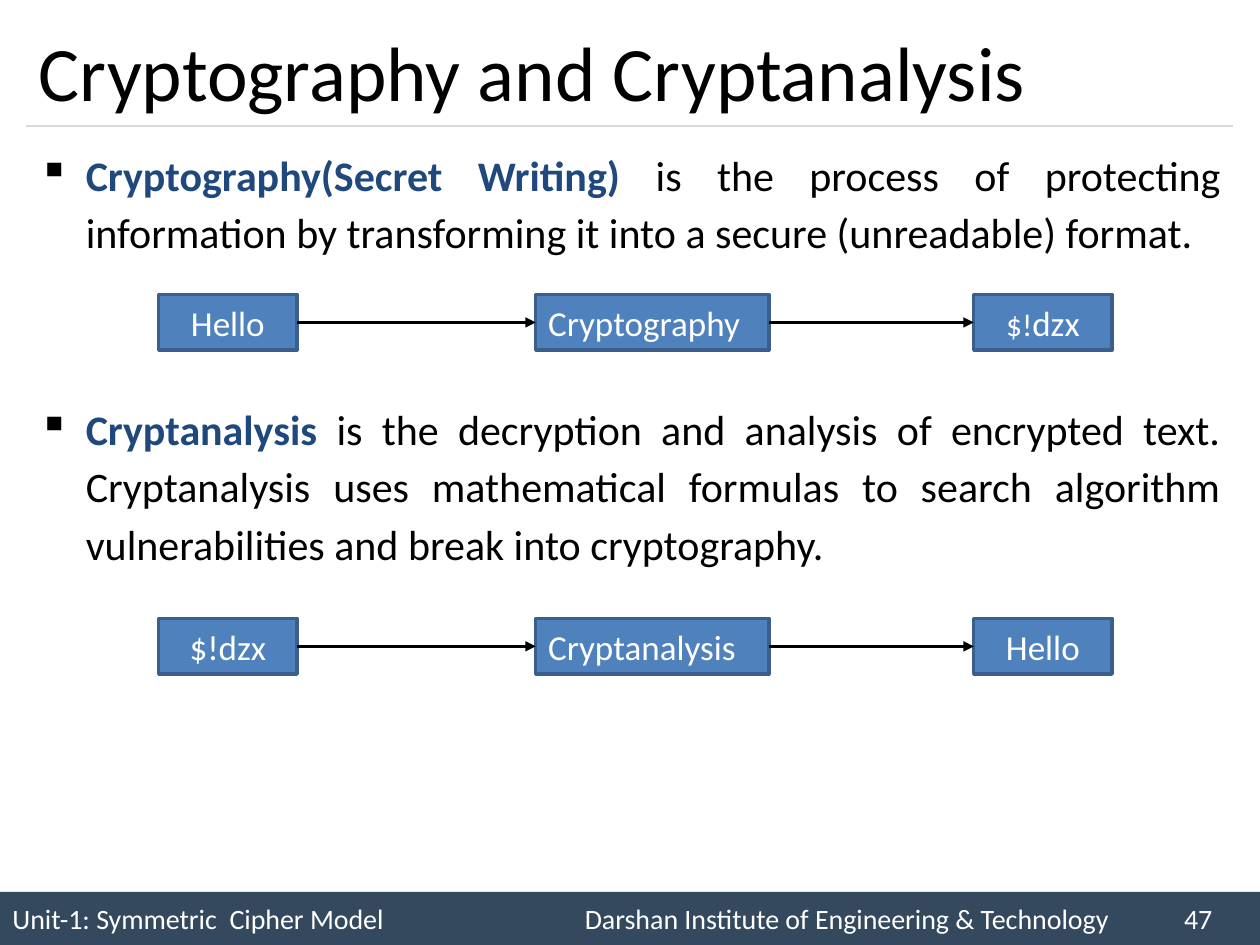
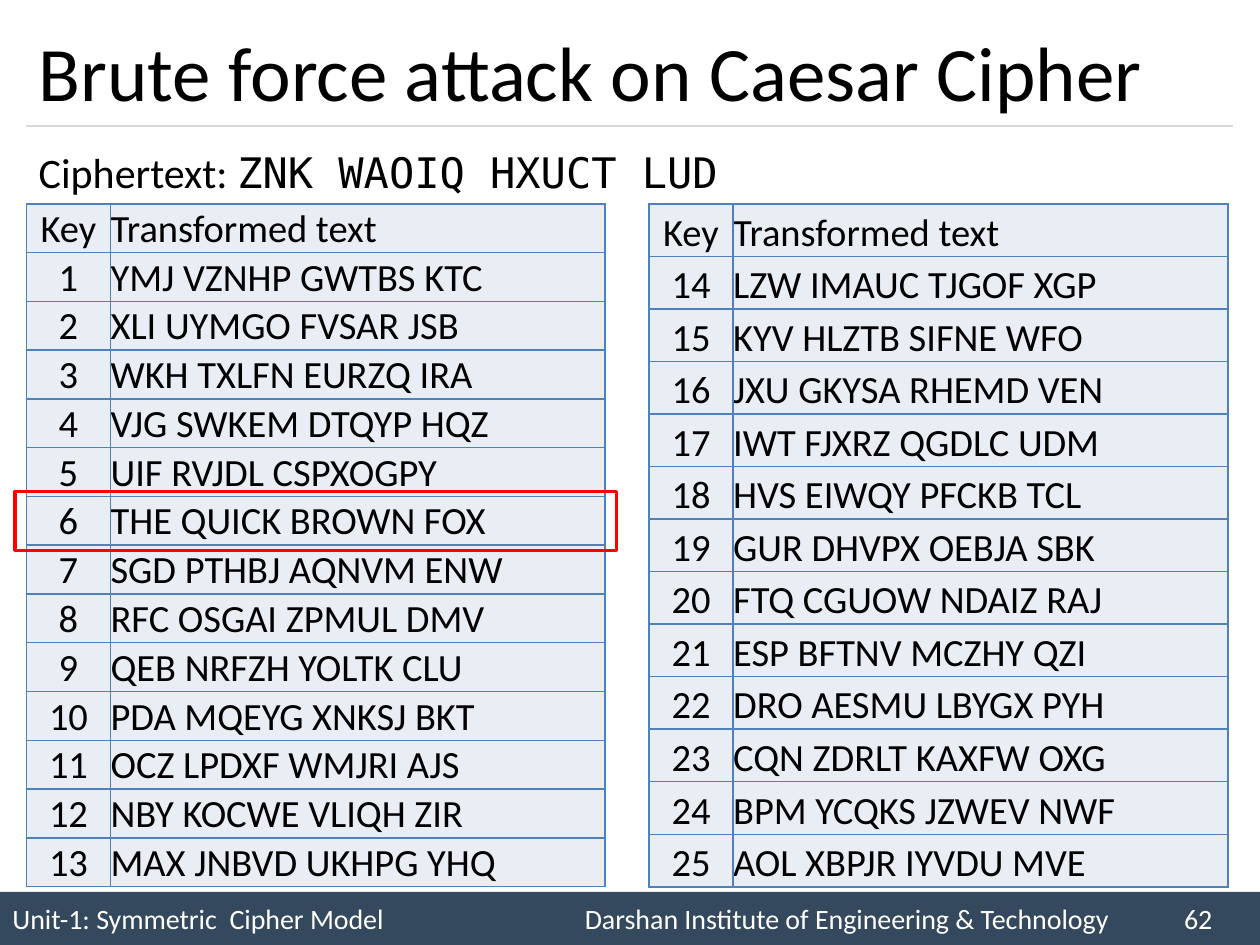
"""Build two slides on cryptanalysis and the Caesar cipher."""
from dataclasses import dataclass
from lxml.etree import SubElement
from pptx import Presentation
from pptx.dml.color import RGBColor
from pptx.enum.shapes import MSO_CONNECTOR, MSO_SHAPE
from pptx.enum.text import MSO_ANCHOR, PP_ALIGN
from pptx.oxml.ns import qn
from pptx.util import Cm, Pt


@dataclass(frozen=True)
class Theme:
    font: str = "Calibri"
    mono: str = "DejaVu Sans Mono"
    black: str = "000000"
    white: str = "FFFFFF"
    navy: str = "1F497D"
    band: str = "34495E"
    rule: str = "D9D9D9"
    blue: str = "4F81BD"
    edge: str = "3A5F8C"
    pale: str = "E9EDF4"
    red: str = "FF0000"
    title: int = 44
    body: int = 24
    cell: int = 22
    box: int = 20
    small: int = 18
    foot: int = 16


T = Theme()
WIDE, HIGH = 25.4, 19.05
LEFT, SPAN = 0.53, 24.33

UNIT = "Unit-1: Symmetric  Cipher Model"
SCHOOL = "Darshan Institute of Engineering & Technology"

KEY = {"bold": True, "color": T.navy}
POINTS = [
    [("Cryptography(Secret Writing) ", KEY),
     ("is the process of protecting information by transforming it into a "
      "secure (unreadable) format.", {})],
    [("Cryptanalysis ", KEY),
     ("is the decryption and analysis of encrypted text. Cryptanalysis uses "
      "mathematical formulas to search algorithm vulnerabilities and break "
      "into cryptography.", {})],
]
FLOWS = [
    (5.94, [[("Hello", {})], [("Cryptography", {})],
            [("$!", {"size": T.small}), ("dzx", {})]]),
    (12.47, [[("$!dzx", {})], [("Cryptanalysis", {})], [("Hello", {})]]),
]
STEPS = [
    (3.2, 2.79, PP_ALIGN.CENTER),
    (10.8, 4.7, PP_ALIGN.LEFT),
    (19.63, 2.79, PP_ALIGN.CENTER),
]

CIPHER = [("Ciphertext: ", {}), ("ZNK WAOIQ HXUCT LUD", {"name": T.mono})]
HEAD = ("Key", "Transformed text")
TRIES = [
    "YMJ VZNHP GWTBS KTC", "XLI UYMGO FVSAR JSB", "WKH TXLFN EURZQ IRA",
    "VJG SWKEM DTQYP HQZ", "UIF RVJDL CSPXOGPY", "THE QUICK BROWN FOX",
    "SGD PTHBJ AQNVM ENW", "RFC OSGAI ZPMUL DMV", "QEB NRFZH YOLTK CLU",
    "PDA MQEYG XNKSJ BKT", "OCZ LPDXF WMJRI AJS", "NBY KOCWE VLIQH ZIR",
    "MAX JNBVD UKHPG YHQ", "LZW IMAUC TJGOF XGP", "KYV HLZTB SIFNE WFO",
    "JXU GKYSA RHEMD VEN", "IWT FJXRZ QGDLC UDM", "HVS EIWQY PFCKB TCL",
    "GUR DHVPX OEBJA SBK", "FTQ CGUOW NDAIZ RAJ", "ESP BFTNV MCZHY QZI",
    "DRO AESMU LBYGX PYH", "CQN ZDRLT KAXFW OXG", "BPM YCQKS JZWEV NWF",
    "AOL XBPJR IYVDU MVE",
]
SPLIT, FOUND = 13, 6
COLS = (1.7, 9.97)
GRID_X, GRID_Y, GRID_H = (LEFT, 13.08), 4.11, 13.77


def rgb(code):
    return RGBColor.from_string(code)


def style(font, size=None, color=None, name=None, bold=None):
    if size:
        font.size = Pt(size)
    if color:
        font.color.rgb = rgb(color)
    if name:
        font.name = name
    if bold is not None:
        font.bold = bold


def write(para, runs, size, color=T.black, align=PP_ALIGN.LEFT):
    para.alignment = align
    style(para.font, size, color, T.font)
    for text, look in runs:
        run = para.add_run()
        run.text = text
        style(run.font, **look)


def add_rect(slide, x, y, w, h, fill=None, edge=None):
    rect = slide.shapes.add_shape(MSO_SHAPE.RECTANGLE, Cm(x), Cm(y), Cm(w), Cm(h))
    rect.shadow.inherit = False
    if fill:
        rect.fill.solid()
        rect.fill.fore_color.rgb = rgb(fill)
    else:
        rect.fill.background()
    if edge:
        rect.line.color.rgb = rgb(edge)
        rect.line.width = Pt(2)
    else:
        rect.line.fill.background()
    return rect


def add_line(slide, ends, color, width):
    line = slide.shapes.add_connector(MSO_CONNECTOR.STRAIGHT, *map(Cm, ends))
    line.line.color.rgb = rgb(color)
    line.line.width = Pt(width)
    SubElement(line._element.spPr, qn("a:effectLst"))
    return line


def add_text(slide, x, y, w, h):
    frame = slide.shapes.add_textbox(Cm(x), Cm(y), Cm(w), Cm(h)).text_frame
    frame.word_wrap = True
    return frame


def add_foot(slide, number):
    band = add_rect(slide, 0, 17.98, WIDE, HIGH - 17.98, T.band)
    para = band.text_frame.paragraphs[0]
    tabs = SubElement(para._p.get_or_add_pPr(), qn("a:tabLst"))
    for stop in (11.54, 23.62):
        SubElement(tabs, qn("a:tab"), pos=str(Cm(stop)), algn="l")
    write(para, [(f"{UNIT}\t{SCHOOL}\t{number}", {})], T.foot, T.white)


def add_slide(deck, title, number):
    slide = deck.slides.add_slide(deck.slide_layouts[5])
    add_foot(slide, number)
    add_line(slide, (LEFT, 2.54, LEFT + SPAN, 2.54), T.rule, 0.75)
    head = slide.shapes.title
    head.left, head.top, head.width, head.height = map(Cm, (LEFT, 0.3, SPAN, 2.24))
    head.text_frame.vertical_anchor = MSO_ANCHOR.MIDDLE
    write(head.text_frame.paragraphs[0], [(title, {})], T.title)
    return slide


def add_points(slide):
    frame = add_text(slide, LEFT, 2.74, SPAN, 14.8)
    for i, runs in enumerate(POINTS):
        para = frame.add_paragraph() if i else frame.paragraphs[0]
        props = para._p.get_or_add_pPr()
        props.set("marL", str(Cm(0.95)))
        props.set("indent", str(-Cm(0.95)))
        tint = SubElement(props, qn("a:buClr"))
        SubElement(tint, qn("a:srgbClr"), val=T.black)
        SubElement(props, qn("a:buChar"), char="▪")
        para.line_spacing = 1.14
        if i:
            para.space_before = Pt(79.5)
        write(para, runs, T.body, align=PP_ALIGN.JUSTIFY)


def add_flow(slide, top, labels):
    boxes = []
    for (x, wide, align), runs in zip(STEPS, labels):
        box = add_rect(slide, x, top, wide, 1.12, T.blue, T.edge)
        write(box.text_frame.paragraphs[0], runs, T.box, T.white, align)
        boxes.append(box)
    for start, end in zip(boxes, boxes[1:]):
        arrow = add_line(slide, (0, 0, 0, 0), T.black, 1.5)
        arrow.begin_connect(start, 3)
        arrow.end_connect(end, 1)
        SubElement(arrow.line._get_or_add_ln(), qn("a:tailEnd"), type="triangle")


def fill_cell(cell, text, align):
    cell.margin_left = cell.margin_right = cell.margin_top = cell.margin_bottom = 0
    cell.vertical_anchor = MSO_ANCHOR.BOTTOM
    props = cell._tc.get_or_add_tcPr()
    for side in "LRTB":
        edge = SubElement(props, qn(f"a:ln{side}"), w=str(Pt(1)))
        paint = SubElement(edge, qn("a:solidFill"))
        SubElement(paint, qn("a:srgbClr"), val=T.blue)
    cell.fill.solid()
    cell.fill.fore_color.rgb = rgb(T.pale)
    write(cell.text_frame.paragraphs[0], [(text, {})], T.cell, align=align)


def add_grid(slide, x, rows):
    frame = slide.shapes.add_table(
        len(rows), 2, Cm(x), Cm(GRID_Y), Cm(sum(COLS)), Cm(GRID_H))
    grid = frame.table
    grid.first_row = grid.horz_banding = False
    for col, wide in zip(grid.columns, COLS):
        col.width = Cm(wide)
    for row, texts in zip(grid.rows, rows):
        row.height = Cm(GRID_H / len(rows))
        for cell, text, align in zip(row.cells, texts, (PP_ALIGN.CENTER, PP_ALIGN.LEFT)):
            fill_cell(cell, text, align)


def main():
    deck = Presentation()
    deck.slide_width, deck.slide_height = Cm(WIDE), Cm(HIGH)

    slide = add_slide(deck, "Cryptography and Cryptanalysis", 47)
    add_points(slide)
    for top, labels in FLOWS:
        add_flow(slide, top, labels)

    slide = add_slide(deck, "Brute force attack on Caesar Cipher", 62)
    pairs = [(str(key), text) for key, text in enumerate(TRIES, 1)]
    for x, part in zip(GRID_X, (pairs[:SPLIT], pairs[SPLIT:])):
        add_grid(slide, x, [HEAD, *part])
    write(add_text(slide, LEFT, 2.82, 17.78, 1.27).paragraphs[0], CIPHER, T.body)
    step = GRID_H / (SPLIT + 1)
    add_rect(slide, LEFT - 0.23, GRID_Y + FOUND * step - 0.1,
             sum(COLS) + 0.46, step + 0.2, edge=T.red)

    deck.save("out.pptx")


if __name__ == "__main__":
    main()
